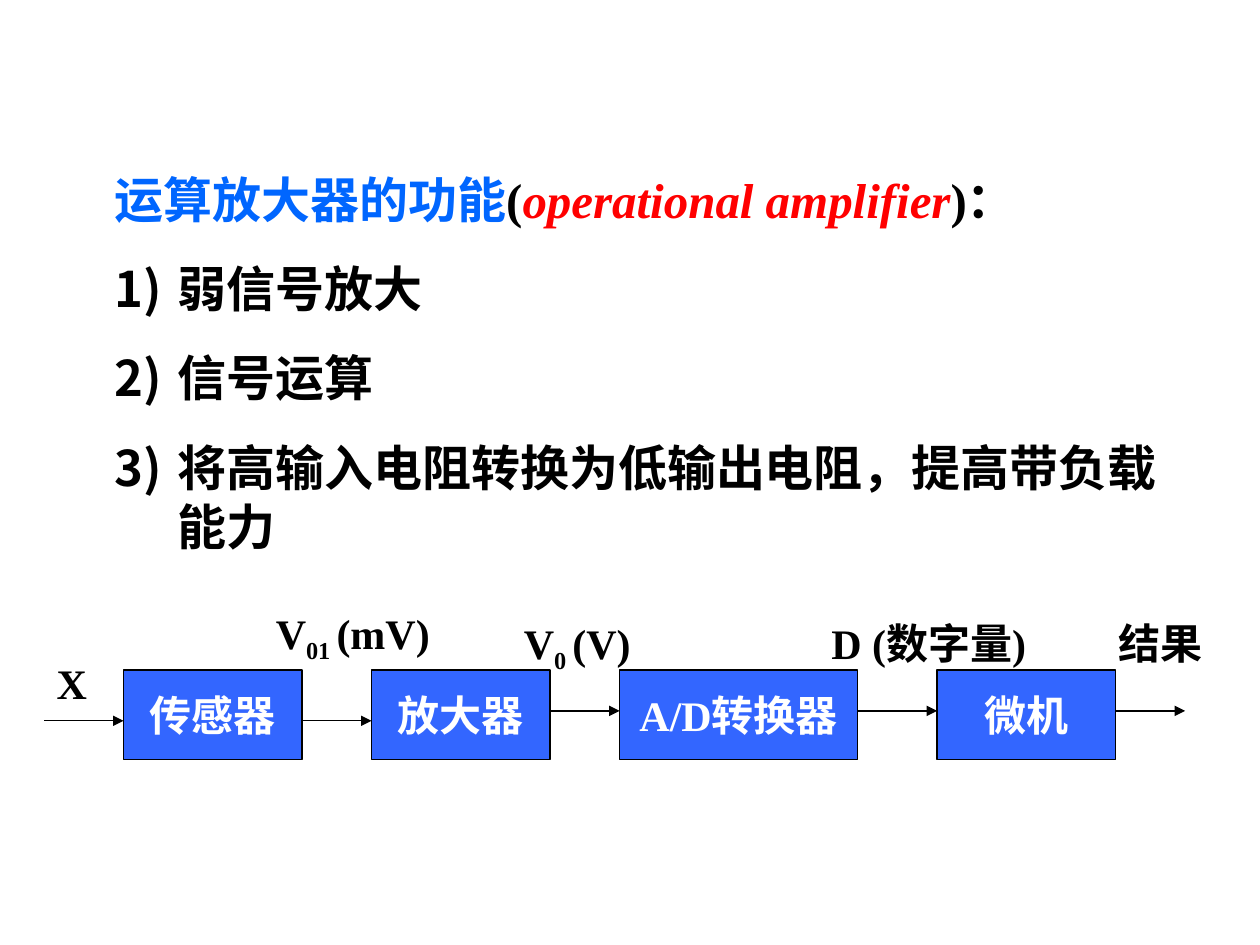
from dataclasses import dataclass

from pptx import Presentation
from pptx.dml.color import RGBColor
from pptx.enum import shapes as sh, text as tx
from pptx.oxml import ns, xmlchemy as xc
from pptx.util import Cm, Pt


@dataclass(frozen=True)
class Theme:
    """Colours, font and type sizes of the slide."""
    font: str = "Times New Roman"
    ink: str = "000000"
    blue: str = "0066FF"
    red: str = "FF0000"
    fill: str = "3366FF"
    white: str = "FFFFFF"
    body: float = 28
    label: float = 24
    gap: float = 17.5
    rule: float = 0.75


T = Theme()


def write(par, words, size=T.label, color=T.ink, italic=False, base=0):
    """Add a bold run to a paragraph in the given format."""
    run = par.add_run()
    run.text = words
    font = run.font
    font.name, font.size = T.font, Pt(size)
    font.bold, font.italic = True, italic
    font.color.rgb = RGBColor.from_string(color)
    if base:
        font._element.set("baseline", str(base * 1000))


def add_tag(node, name, **attrs):
    """Append an empty drawing element and return it."""
    tag = xc.OxmlElement(name)
    for key, val in attrs.items():
        tag.set(key, val)
    node.append(tag)
    return tag


def indent(par, number):
    """Give a paragraph its hanging indent and optional number."""
    props = par._p.get_or_add_pPr()
    props.set("marL", str(Cm(1.27)))
    props.set("indent", str(-Cm(1.27)))
    if number:
        color = add_tag(props, "a:buClr")
        add_tag(color, "a:srgbClr", val=T.ink)
        add_tag(props, "a:buFontTx")
        add_tag(props, "a:buAutoNum", type="arabicParenR")
    else:
        add_tag(props, "a:buNone")


def add_list(slide, left, top, width, height):
    """Fill the body placeholder with the heading and numbered functions."""
    body = slide.placeholders[1]
    body.left, body.top = Cm(left), Cm(top)
    body.width, body.height = Cm(width), Cm(height)
    frame = body.text_frame
    frame.auto_size = tx.MSO_AUTO_SIZE.NONE
    frame.vertical_anchor = tx.MSO_ANCHOR.TOP
    head = frame.paragraphs[0]
    indent(head, False)
    head.space_before = Pt(0)
    for words, color, italic in (
        ("运算放大器的功能", T.blue, False),
        ("(", T.ink, False),
        ("operational amplifier", T.red, True),
        (")：", T.ink, False),
    ):
        write(head, words, size=T.body, color=color, italic=italic)
    for words in (
        "弱信号放大",
        "信号运算",
        "将高输入电阻转换为低输出电阻，提高带负载能力",
    ):
        par = frame.add_paragraph()
        indent(par, True)
        par.space_before = Pt(T.gap)
        write(par, words, size=T.body)


def add_block(slide, words, left, top, width, height):
    """Draw one stage of the signal chain."""
    box = slide.shapes.add_shape(sh.MSO_SHAPE.RECTANGLE, Cm(left), Cm(top),
                                 Cm(width), Cm(height))
    box.shadow.inherit = False
    box.fill.solid()
    box.fill.fore_color.rgb = RGBColor.from_string(T.fill)
    box.line.color.rgb = RGBColor.from_string(T.ink)
    box.line.width = Pt(T.rule)
    frame = box.text_frame
    frame.word_wrap = False
    frame.vertical_anchor = tx.MSO_ANCHOR.MIDDLE
    par = frame.paragraphs[0]
    par.alignment = tx.PP_ALIGN.CENTER
    write(par, words, color=T.white)


def add_arrow(slide, left, top, width):
    """Draw a level arrow pointing right."""
    line = slide.shapes.add_connector(sh.MSO_CONNECTOR.STRAIGHT, Cm(left),
                                      Cm(top), Cm(left + width), Cm(top))
    line.line.color.rgb = RGBColor.from_string(T.ink)
    line.line.width = Pt(T.rule)
    props = line._element.spPr
    add_tag(props.find(ns.qn("a:ln")), "a:tailEnd", type="triangle")
    add_tag(props, "a:effectLst")


def add_label(slide, parts, left, top, width, height):
    """Place a signal label whose second part is a subscript."""
    box = slide.shapes.add_textbox(Cm(left), Cm(top), Cm(width), Cm(height))
    box.text_frame.word_wrap = True
    par = box.text_frame.paragraphs[0]
    for words, base in zip(parts, (0, -25, 0)):
        write(par, words, base=base)


def add_chain(slide, left, top):
    """Lay out the stages, arrows and labels of the signal chain."""
    row, high = top + 1.39, 1.8
    x = left
    for gap, drop, words, width in (
        (1.6, 1.02, "传感器", 3.6),
        (1.4, 1.02, "放大器", 3.6),
        (1.4, 0.82, "A/D转换器", 4.8),
        (1.6, 0.82, "微机", 3.6),
    ):
        add_arrow(slide, x, row + drop, gap)
        add_block(slide, words, x + gap, row, width, high)
        x += gap + width
    add_arrow(slide, x, row + 0.82, 1.4)
    for parts, dx, dy, width, height in (
        (("X",), 0, 1.02, 1.8, 1.27),
        (("V", "01 ", "(mV)"), 4.42, 0, 4.2, 1.42),
        (("V", "0 ", "(V)"), 9.42, 0.2, 4.2, 1.42),
        (("D (数字量)",), 15.62, 0.2, 5, 1.42),
        (("结果",), 21.41, 0.2, 2.4, 1.27),
    ):
        add_label(slide, parts, left + dx, top + dy, width, height)


def main():
    """Build and save the slide."""
    deck = Presentation()
    deck.slide_width, deck.slide_height = Cm(25.4), Cm(19.05)
    slide = deck.slides.add_slide(deck.slide_layouts[1])
    title = slide.shapes.title._element
    title.getparent().remove(title)
    add_list(slide, 2.06, 3.28, 21.64, 8.05)
    add_chain(slide, 0.89, 12.12)
    deck.save("out.pptx")


if __name__ == "__main__":
    main()
